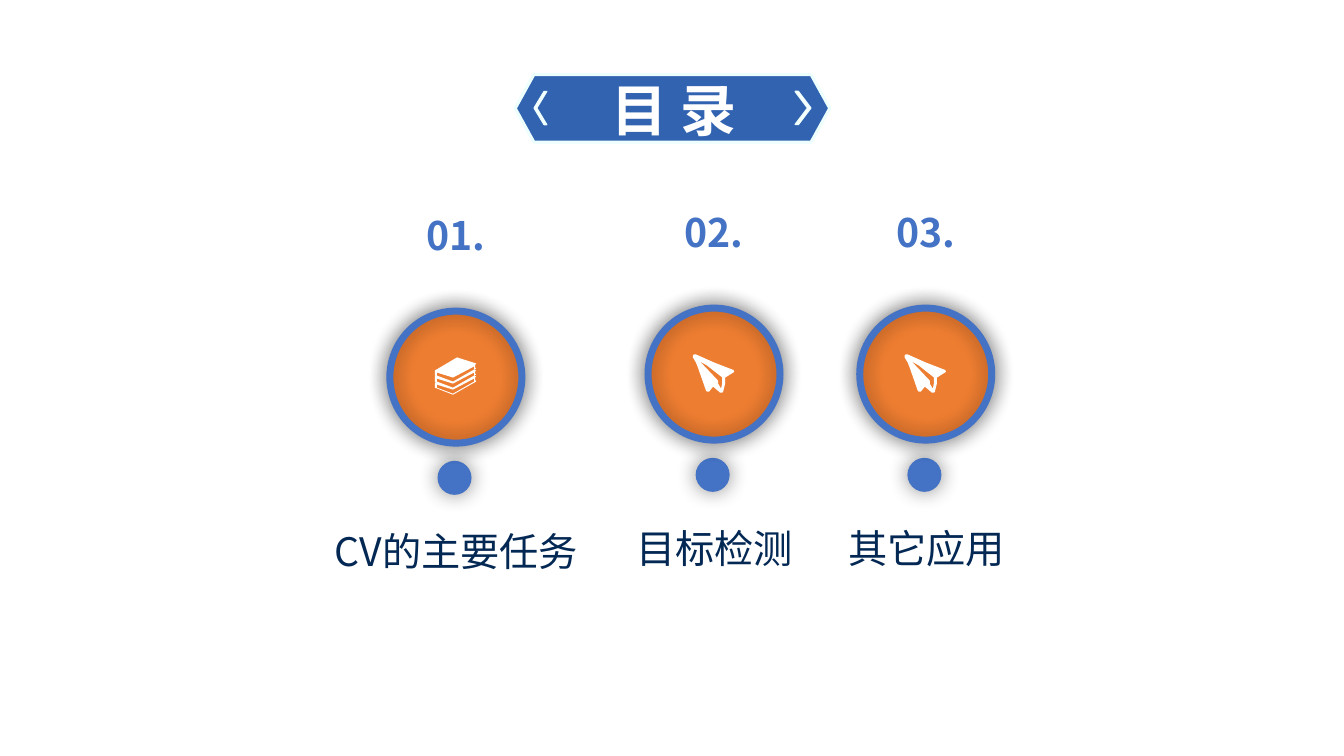
from dataclasses import dataclass

from lxml.etree import SubElement
from pptx import Presentation
from pptx.dml.color import RGBColor
from pptx.enum.shapes import MSO_SHAPE as Shape
from pptx.enum.text import MSO_ANCHOR as Anchor, MSO_AUTO_SIZE as AutoSize, PP_ALIGN as Align
from pptx.oxml.ns import qn
from pptx.util import Inches, Pt


@dataclass(frozen=True)
class Theme:
    """Colours, font and type sizes of the slide."""
    font: str = "Noto Sans CJK SC"
    blue: str = "4472C4"
    orange: str = "ED7D31"
    banner: str = "3263B1"
    edge: str = "EDFFFD"
    ink: str = "032854"
    white: str = "FFFFFF"
    shadow: str = "000000"
    title_size: int = 40
    text_size: int = 28


@dataclass(frozen=True)
class Box:
    """A rectangle in inches."""
    left: float
    top: float
    width: float
    height: float

    def share(self, left, top, width, height):
        """Return a box given as shares of this one."""
        return Box(self.left + left * self.width, self.top + top * self.height,
                   width * self.width, height * self.height)

    def lengths(self):
        """Return left, top, width and height as slide lengths."""
        return [Inches(value) for value in (self.left, self.top, self.width, self.height)]


THEME = Theme()
BOOKS = [
    [(41, 7), (41, 6), (22, 0), (0, 13), (0, 18), (1, 18), (0, 19), (0, 24), (1, 25),
     (0, 26), (0, 30), (18, 37), (41, 24), (40, 22), (40, 20), (41, 19), (39, 18),
     (41, 17), (40, 16), (40, 14), (41, 13), (39, 12), (41, 11), (40, 10), (40, 7)],
    *[[(2, top), (2, top + 3), (18, top + 9), (39, top - 3), (39, top - 6), (18, top + 5)]
      for top in (15, 21, 27)],
]
PLANE = [
    [(39, 15), (21, 8), (3, 0), (1, 0), (0, 1), (0, 3), (3, 8), (5, 13), (13, 36),
     (14, 37), (16, 37), (20, 32), (26, 37), (27, 38), (29, 38), (30, 37), (32, 29),
     (32, 23), (40, 18), (41, 17), (40, 15)],
    [(29, 29), (28, 34), (25, 29), (25, 26), (7, 7), (14, 11), (28, 22), (29, 23)],
]


def rgb(code):
    """Return a colour from its hexadecimal code."""
    return RGBColor.from_string(code)


def paint(shape, fill=None, line=None, width=1):
    """Set the fill and the line of a shape."""
    shape.shadow.inherit = False
    if fill:
        shape.fill.solid()
        shape.fill.fore_color.rgb = rgb(fill)
    else:
        shape.fill.background()
    if line:
        shape.line.color.rgb = rgb(line)
        shape.line.width = Pt(width)
    else:
        shape.line.fill.background()


def add_glow(shape):
    """Give a painted shape a soft shadow on all sides."""
    effects = shape.element.spPr.find(qn("a:effectLst"))
    shadow = SubElement(effects, qn("a:outerShdw"), blurRad=str(Pt(15)), dist="0",
                        dir="0", algn="ctr", rotWithShape="0")
    color = SubElement(shadow, qn("a:srgbClr"), val=THEME.shadow)
    SubElement(color, qn("a:alpha"), val="45000")


def add_figure(slide, kind, box, fill=None, line=None, width=1, adjust=None):
    """Add a painted preset shape."""
    shape = slide.shapes.add_shape(kind, *box.lengths())
    paint(shape, fill, line, width)
    if adjust is not None:
        shape.adjustments[0] = adjust
    return shape


def add_icon(slide, outlines, left, top):
    """Add a white icon from outlines in hundredths of an inch."""
    first, *others = outlines
    builder = slide.shapes.build_freeform(*first[0], scale=Inches(0.01))
    builder.add_line_segments(first[1:])
    for outline in others:
        builder.move_to(*outline[0])
        builder.add_line_segments(outline[1:])
    paint(builder.convert_to_shape(Inches(left), Inches(top)), THEME.white)


def write(frame, text, size, color, bold=False, anchor=Anchor.MIDDLE, spacing=1.0):
    """Write one centred line of text into a frame."""
    frame.word_wrap = True
    frame.auto_size = AutoSize.NONE
    frame.vertical_anchor = anchor
    paragraph = frame.paragraphs[0]
    paragraph.alignment = Align.CENTER
    paragraph.line_spacing = spacing
    run = paragraph.add_run()
    run.text = text
    run.font.size = Pt(size)
    run.font.bold = bold
    run.font.color.rgb = rgb(color)
    run.font.name = THEME.font
    SubElement(run.font._element, qn("a:ea"), typeface=THEME.font)


def add_banner(slide, box):
    """Add the title on its hexagonal banner."""
    add_figure(slide, Shape.HEXAGON, box, THEME.banner, THEME.edge, 2.25, 0.276)
    for left, width, turn in ((0.06, 0.04, 180), (0.89, 0.05, 0)):
        chevron = add_figure(slide, Shape.CHEVRON, box.share(left, 0.25, width, 0.49),
                             THEME.white, THEME.edge, 1, 0.794)
        chevron.rotation = turn
    title = slide.shapes.title
    title.left, title.top, title.width, title.height = box.share(0.17, -0.06, 0.67, 1.15).lengths()
    write(title.text_frame, "目 录", THEME.title_size, THEME.white, True)
    title.element.getparent().append(title.element)


def add_stage(slide, box, number, label, label_width, icon):
    """Add a numbered circle with its icon, dot and label."""
    for part, fill, line in ((box, THEME.orange, None),
                             (box.share(0.37, 1.12, 0.25, 0.25), THEME.blue, None),
                             (box.share(0.02, 0.02, 0.97, 0.97), None, THEME.blue)):
        add_glow(add_figure(slide, Shape.OVAL, part, fill, line, 5))
    corner = box.share(0.35, 0.36, 0, 0)
    add_icon(slide, icon, corner.left, corner.top)
    heading = slide.shapes.add_textbox(*box.share(0.07, -0.71, 0.87, 0.42).lengths())
    write(heading.text_frame, number, THEME.text_size, THEME.blue, True, Anchor.TOP, 0.9)
    caption = slide.shapes.add_textbox(
        *box.share(0.51 - label_width / 2, 1.64, label_width, 0.35).lengths())
    frame = caption.text_frame
    frame.margin_left = frame.margin_top = frame.margin_right = frame.margin_bottom = 0
    write(frame, label, THEME.text_size, THEME.ink, spacing=0.81)


def main():
    """Build the contents slide."""
    presentation = Presentation()
    presentation.slide_width, presentation.slide_height = Inches(13.33), Inches(7.5)
    slide = presentation.slides.add_slide(presentation.slide_layouts[5])
    add_banner(slide, Box(5.11, 0.74, 3.12, 0.67))
    stages = ((3.84, 3.06, "CV的主要任务", 1.81, BOOKS),
              (6.4, 3.03, "目标检测", 1.16, PLANE),
              (8.5, 3.03, "其它应用", 1.16, PLANE))
    for index, (left, top, label, label_width, icon) in enumerate(stages, 1):
        add_stage(slide, Box(left, top, 1.35, 1.35), f"{index:02}.", label, label_width, icon)
    presentation.save("out.pptx")


if __name__ == "__main__":
    main()
